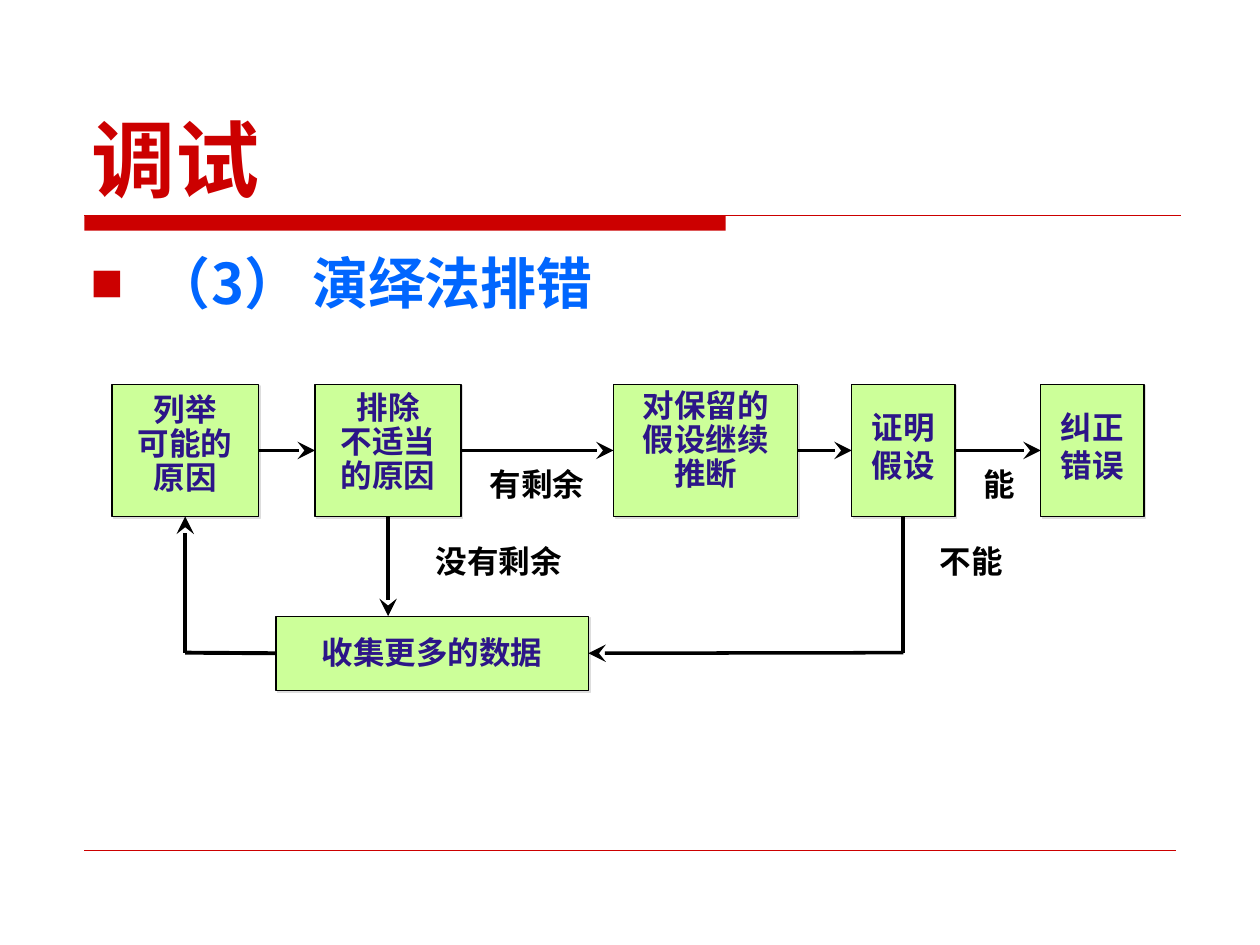
from dataclasses import dataclass

from lxml import etree
from pptx import Presentation
from pptx import util as u
from pptx.dml.color import RGBColor
from pptx.enum import shapes, text
from pptx.oxml import ns

TOP, LEFT, BOTTOM, RIGHT = range(4)


@dataclass(frozen=True)
class Theme:
    """Colours, fonts and type sizes of the deck."""
    red: str = "CC0000"
    blue: str = "0066FF"
    indigo: str = "2C1588"
    green: str = "CCFF99"
    black: str = "000000"
    shade: str = "DDDDDD"
    heading: str = "Noto Sans CJK SC"
    label: str = "DejaVu Sans"
    title_size: int = 48
    list_size: int = 32
    label_size: int = 18


def add_node(parent, tag, **attributes):
    """Append a DrawingML element to a parent and return it."""
    return etree.SubElement(parent, ns.qn(tag), attributes)


class SlideBuilder:
    """Draws styled elements on the current slide."""

    def __init__(self, slide, theme):
        self.slide, self.theme = slide, theme

    def fill_text(self, frame, wording, font, size, color, paragraph_format=None, **frame_format):
        """Fill a text frame with formatted paragraphs."""
        frame.text = wording
        settings = {"auto_size": text.MSO_AUTO_SIZE.NONE, "word_wrap": True, **frame_format}
        for name, value in settings.items():
            setattr(frame, name, value)
        for paragraph in frame.paragraphs:
            for name, value in (paragraph_format or {}).items():
                setattr(paragraph, name, value)
            for run in paragraph.runs:
                for name, value in {"name": font, "size": u.Pt(size), "bold": True}.items():
                    setattr(run.font, name, value)
                run.font.color.rgb = RGBColor.from_string(color)
                add_node(run.font._element, "a:ea", typeface=font)

    def place(self, shape, left, top, width, height):
        """Move and size a shape in inches."""
        box = {"left": left, "top": top, "width": width, "height": height}
        for name, value in box.items():
            setattr(shape, name, u.Inches(value))

    def title(self, wording):
        """Set the slide title."""
        heading = self.slide.shapes.title
        self.place(heading, 0.63, 0.65, 8.75, 1.05)
        self.fill_text(heading.text_frame, wording, self.theme.heading, self.theme.title_size,
                       self.theme.red, {"alignment": text.PP_ALIGN.LEFT},
                       vertical_anchor=text.MSO_ANCHOR.BOTTOM)

    def bullet(self, wording):
        """Set the body to one square-bulleted item."""
        body = self.slide.placeholders[1]
        self.place(body, 0.62, 1.92, 8.75, 4.67)
        self.fill_text(body.text_frame, wording, self.theme.heading, self.theme.list_size,
                       self.theme.blue, {"space_before": u.Pt(8)})
        properties = body.text_frame.paragraphs[0]._p.get_or_add_pPr()
        indent = u.Inches(0.51)
        properties.set("marL", str(indent))
        properties.set("indent", str(-indent))
        add_node(add_node(properties, "a:buClr"), "a:srgbClr", val=self.theme.red)
        add_node(properties, "a:buSzPct", val="62000")
        add_node(properties, "a:buFont", typeface=self.theme.label)
        add_node(properties, "a:buChar", char="■")

    def bar(self, left, top, width, height):
        """Draw a plain accent bar."""
        accent = self.slide.shapes.add_shape(
            shapes.MSO_SHAPE.RECTANGLE, *map(u.Inches, (left, top, width, height)))
        accent.shadow.inherit = False
        accent.fill.solid()
        accent.fill.fore_color.rgb = RGBColor.from_string(self.theme.red)
        accent.line.fill.background()

    def step(self, wording, left, top, width, height, inset, spacing=1.0):
        """Draw a process box with a hard shadow and its wording."""
        box = self.slide.shapes.add_shape(
            shapes.MSO_SHAPE.RECTANGLE, *map(u.Inches, (left, top, width, height)))
        box.shadow.inherit = False
        box.fill.solid()
        box.fill.fore_color.rgb = RGBColor.from_string(self.theme.green)
        box.line.color.rgb = RGBColor.from_string(self.theme.black)
        box.line.width = u.Pt(0.75)
        effects = box._element.spPr.find(ns.qn("a:effectLst"))
        shadow = add_node(effects, "a:outerShdw", dist=str(u.Pt(1.4)), dir="2700000",
                          algn="ctr", rotWithShape="0")
        add_node(shadow, "a:srgbClr", val=self.theme.shade)
        self.fill_text(box.text_frame, wording, self.theme.label, self.theme.label_size,
                       self.theme.indigo,
                       {"alignment": text.PP_ALIGN.CENTER, "line_spacing": spacing},
                       word_wrap=False, vertical_anchor=text.MSO_ANCHOR.TOP,
                       margin_top=u.Inches(inset), margin_bottom=0)
        return box

    def label(self, wording, left, top):
        """Add a branch label sized to its characters."""
        width = 0.2 + 0.25 * len(wording)
        note = self.slide.shapes.add_textbox(*map(u.Inches, (left, top, width, 0.4)))
        self.fill_text(note.text_frame, wording, self.theme.label, self.theme.label_size,
                       self.theme.black, word_wrap=False)

    def line(self, start, end, color, weight, arrow=False):
        """Draw a line between points or (box, side) joints."""
        joints = [joint if not isinstance(joint[0], (int, float)) else None
                  for joint in (start, end)]
        points = [(0, 0) if joint else point for joint, point in zip(joints, (start, end))]
        link = self.slide.shapes.add_connector(
            shapes.MSO_CONNECTOR.STRAIGHT, *(u.Inches(n) for point in points for n in point))
        for connect, joint in zip((link.begin_connect, link.end_connect), joints):
            if joint:
                connect(*joint)
        link.line.color.rgb = RGBColor.from_string(color)
        link.line.width = u.Pt(weight)
        if arrow:
            add_node(link.line._get_or_add_ln(), "a:tailEnd", type="stealth", w="lg", len="lg")
        add_node(link._element.spPr, "a:effectLst")

    def flow(self, start, end, arrow=True):
        """Draw a black flow line of the diagram."""
        self.line(start, end, self.theme.black, 2 if arrow else 2.25, arrow)


def main():
    """Build the debugging slide and save it."""
    deck = Presentation()
    deck.slide_width, deck.slide_height = u.Inches(10), u.Inches(7.5)
    theme = Theme()
    builder = SlideBuilder(deck.slides.add_slide(deck.slide_layouts[1]), theme)

    builder.bar(0.67, 1.71, 5.09, 0.12)
    builder.line((0.67, 1.71), (9.37, 1.71), theme.red, 0.75)
    builder.line((0.67, 6.75), (9.33, 6.75), theme.red, 0.25)
    builder.title("调试")
    builder.bullet("（3） 演绎法排错")

    row = [
        ("列举\n可能的\n原因", 0.89, 1.16, 0.08, 0.9),
        ("排除\n不适当\n的原因", 2.5, 1.16, 0.06, 0.9),
        ("对保留的\n假设继续\n推断", 4.87, 1.46, 0.05, 0.9),
        ("证明\n假设", 6.76, 0.82, 0.19, 1.0),
        ("纠正\n错误", 8.26, 0.82, 0.19, 1.0),
    ]
    steps = [builder.step(wording, left, 3.05, width, 1.05, inset, spacing)
             for wording, left, width, inset, spacing in row]
    causes, exclude, _, prove, _ = steps
    collect = builder.step("收集更多的数据", 2.19, 4.89, 2.48, 0.59, 0.13)

    for before, after in zip(steps, steps[1:]):
        builder.flow((before, RIGHT), (after, LEFT))
    builder.flow((exclude, BOTTOM), (3.08, 4.89))

    return_y = 5.18
    left_turn, right_turn = (1.47, return_y), (7.17, return_y)
    builder.flow((collect, LEFT), left_turn, arrow=False)
    builder.flow(left_turn, (causes, BOTTOM))
    builder.flow((prove, BOTTOM), right_turn, arrow=False)
    builder.flow(right_turn, (collect, RIGHT))

    for wording, left, top in [("有剩余", 3.79, 3.64), ("能", 7.71, 3.64),
                               ("没有剩余", 3.36, 4.25), ("不能", 7.36, 4.25)]:
        builder.label(wording, left, top)

    deck.save("out.pptx")


if __name__ == "__main__":
    main()
